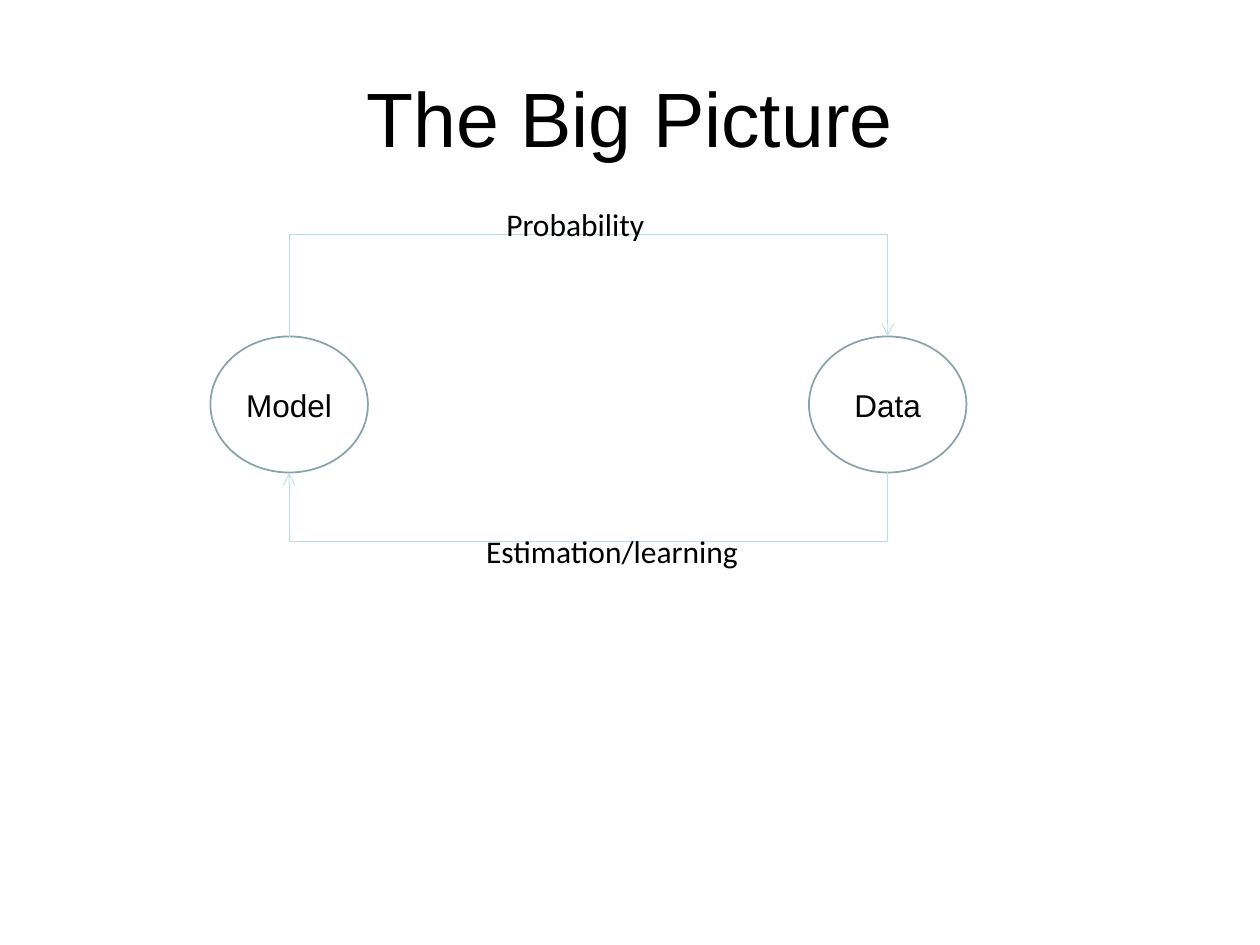
"""Build the slide that links model and data by probability and estimation."""
from lxml import etree
from pptx import Presentation
from pptx.dml.color import RGBColor
from pptx.enum import shapes, text
from pptx.oxml import ns
from pptx.util import Inches, Pt

BLACK = RGBColor(0x00, 0x00, 0x00)
OUTLINE = RGBColor(0x89, 0xA4, 0xA7)
ARROW = RGBColor(0xBB, 0xE0, 0xE3)

TITLE = ("The Big Picture", (0.5, 0.3, 9, 1.25))
NODES = [("Model", 1.67), ("Data", 6.42)]
NODE_TOP, NODE_WIDTH, NODE_HEIGHT = 2.67, 1.25, 1.08
LABELS = [
    ("Probability", (3.92, 1.58, 1.3, 0.4)),
    ("Estimation/learning", (3.76, 4.17, 2.2, 0.4)),
]
LOOPS = [
    {"level": NODE_TOP, "reach": 0.83, "upward": True},
    {"level": NODE_TOP + NODE_HEIGHT, "reach": 0.56, "upward": False},
]
STEP = 0.01


def write(holder, words, size=18, font="Arial", align=text.PP_ALIGN.CENTER,
          anchor=text.MSO_ANCHOR.MIDDLE, wrap=True):
    frame = holder.text_frame
    frame.word_wrap = wrap
    frame.vertical_anchor = anchor
    if not wrap:
        frame.auto_size = text.MSO_AUTO_SIZE.SHAPE_TO_FIT_TEXT
    paragraph = frame.paragraphs[0]
    paragraph.alignment = align
    run = paragraph.add_run()
    run.text = words
    run.font.size = Pt(size)
    run.font.name = font
    run.font.color.rgb = BLACK


def add_node(slide, words, left):
    node = slide.shapes.add_shape(
        shapes.MSO_SHAPE.OVAL, Inches(left), Inches(NODE_TOP),
        Inches(NODE_WIDTH), Inches(NODE_HEIGHT))
    node.shadow.inherit = False
    node.fill.background()
    node.line.color.rgb = OUTLINE
    node.line.width = Pt(1)
    write(node, words)


def add_loop(slide, level, reach, upward):
    span = NODES[1][1] - NODES[0][1]
    center = NODES[0][1] + (NODE_WIDTH + span) / 2
    start = (center - STEP / 2, level - span / 2)
    end = (center + STEP / 2, level + span / 2)
    if upward:
        start, end = end, start
    loop = slide.shapes.add_connector(
        shapes.MSO_CONNECTOR.ELBOW, *map(Inches, start + end))
    loop.line.color.rgb = ARROW
    loop.line.width = Pt(0.5)
    properties = loop._element.spPr
    properties.find(ns.qn("a:xfrm")).set("rot", str(90 * 60000))
    guides = properties.find(ns.qn("a:prstGeom")).find(ns.qn("a:avLst"))
    etree.SubElement(guides, ns.qn("a:gd"), name="adj1",
                     fmla=f"val {round(reach / STEP * 100000)}")
    etree.SubElement(properties.find(ns.qn("a:ln")), ns.qn("a:tailEnd"), type="arrow")
    etree.SubElement(properties, ns.qn("a:effectLst"))


def main():
    deck = Presentation()
    deck.slide_width, deck.slide_height = Inches(10), Inches(7.5)
    slide = deck.slides.add_slide(deck.slide_layouts[6])

    heading, place = TITLE
    write(slide.shapes.add_textbox(*map(Inches, place)), heading, size=44)
    for words, left in NODES:
        add_node(slide, words, left)
    for loop, (words, place) in zip(LOOPS, LABELS):
        add_loop(slide, **loop)
        write(slide.shapes.add_textbox(*map(Inches, place)), words, font="Calibri",
              align=text.PP_ALIGN.LEFT, anchor=text.MSO_ANCHOR.TOP, wrap=False)
    deck.save("out.pptx")


if __name__ == "__main__":
    main()
